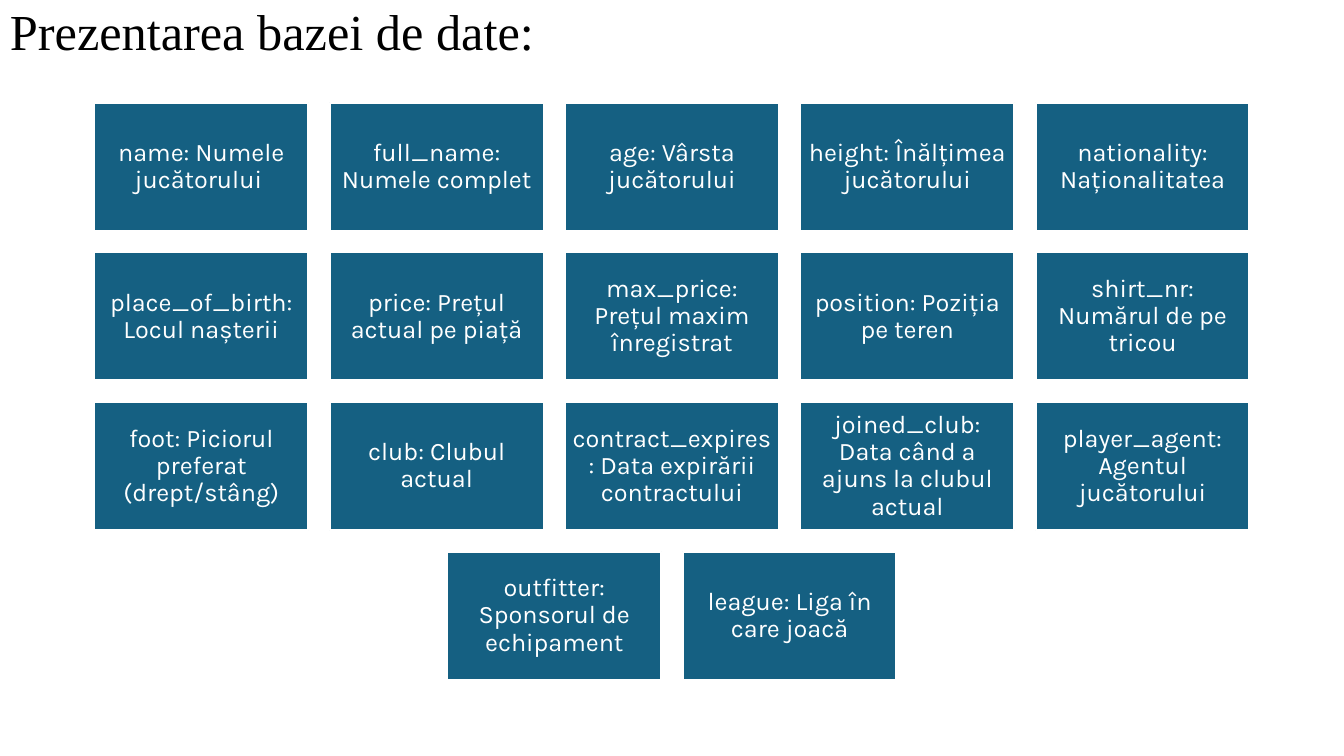
from pptx import Presentation
from pptx.dml.color import RGBColor
from pptx.enum.shapes import MSO_SHAPE as Shape
from pptx.enum.text import MSO_ANCHOR as Anchor, PP_ALIGN as Align
from pptx.util import Cm, Pt

BLACK = RGBColor(0x00, 0x00, 0x00)
WHITE = RGBColor(0xFF, 0xFF, 0xFF)
BLUE = RGBColor(0x15, 0x60, 0x82)

# Sizes in centimetres
SLIDE_WIDTH, SLIDE_HEIGHT = 33.87, 19.05
BOX_WIDTH, BOX_HEIGHT = 5.39, 3.23
GAP = 0.54
GRID_TOP = 2.59
COLUMNS = 5

FIELDS = [
    "name: Numele jucătorului ",
    "full_name: Numele complet",
    "age: Vârsta jucătorului",
    "height: Înălțimea jucătorului",
    "nationality: Naționalitatea",
    "place_of_birth: Locul nașterii",
    "price: Prețul actual pe piață",
    "max_price: Prețul maxim înregistrat",
    "position: Poziția pe teren",
    "shirt_nr: Numărul de pe tricou",
    "foot: Piciorul preferat (drept/stâng)",
    "club: Clubul actual",
    "contract_expires: Data expirării contractului",
    "joined_club: Data când a ajuns la clubul actual",
    "player_agent: Agentul jucătorului",
    "outfitter: Sponsorul de echipament",
    "league: Liga în care joacă",
]


def write_text(shape, text, *, font, size, color, align, margin):
    frame = shape.text_frame
    frame.word_wrap = True
    frame.vertical_anchor = Anchor.MIDDLE
    frame.margin_left = frame.margin_right = Cm(margin)
    frame.margin_top = frame.margin_bottom = Cm(margin)
    paragraph = frame.paragraphs[0]
    paragraph.alignment = align
    paragraph.line_spacing = 0.9
    run = paragraph.add_run()
    run.text = text
    run.font.name = font
    run.font.size = Pt(size)
    run.font.color.rgb = color


def add_title(slide, text):
    title = slide.shapes.add_textbox(Cm(0), Cm(0.05), Cm(26.57), Cm(1.65))
    write_text(title, text, font="Times New Roman", size=36, color=BLACK,
               align=Align.LEFT, margin=0.25)


def add_field_box(slide, left, top, text):
    box = slide.shapes.add_shape(Shape.RECTANGLE, Cm(left), Cm(top),
                                 Cm(BOX_WIDTH), Cm(BOX_HEIGHT))
    box.shadow.inherit = False
    box.fill.solid()
    box.fill.fore_color.rgb = BLUE
    box.line.color.rgb = WHITE
    box.line.width = Pt(1.5)
    write_text(box, text, font="Karla", size=18, color=WHITE,
               align=Align.CENTER, margin=0.18)


def add_field_grid(slide, fields):
    for start in range(0, len(fields), COLUMNS):
        row = fields[start:start + COLUMNS]
        # Each row is centred on the slide, the short last one too
        row_width = len(row) * (BOX_WIDTH + GAP) - GAP
        left = (SLIDE_WIDTH - row_width) / 2
        top = GRID_TOP + start // COLUMNS * (BOX_HEIGHT + GAP)
        for column, text in enumerate(row):
            add_field_box(slide, left + column * (BOX_WIDTH + GAP), top, text)


def main():
    presentation = Presentation()
    presentation.slide_width = Cm(SLIDE_WIDTH)
    presentation.slide_height = Cm(SLIDE_HEIGHT)
    slide = presentation.slides.add_slide(presentation.slide_layouts[6])

    add_title(slide, "Prezentarea bazei de date:")
    add_field_grid(slide, FIELDS)

    presentation.save("out.pptx")


if __name__ == "__main__":
    main()
